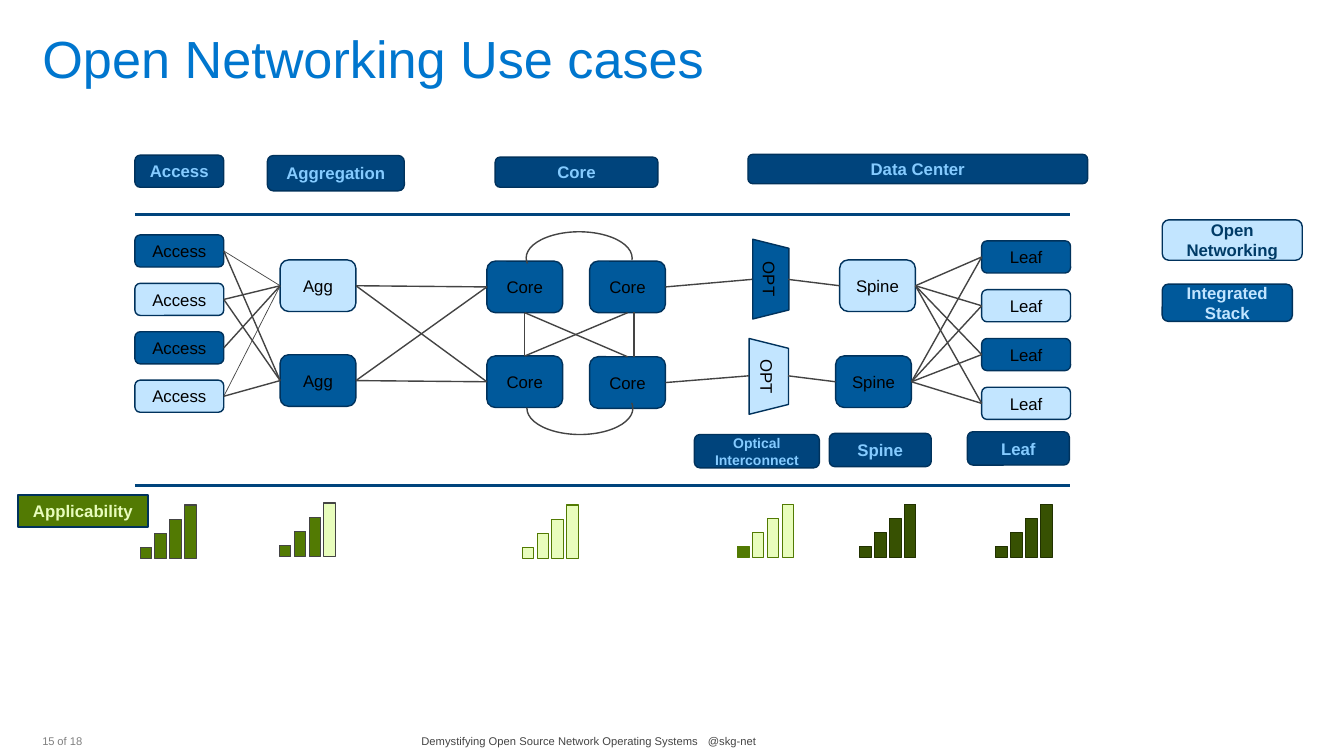
"""Builds the Open Networking use cases slide."""
from itertools import product

from lxml.etree import SubElement
from pptx import Presentation
from pptx.dml.color import RGBColor
from pptx.enum.shapes import MSO_CONNECTOR as Connector, MSO_SHAPE as Shape
from pptx.enum.text import MSO_ANCHOR as Anchor, PP_ALIGN as Align
from pptx.oxml.ns import qn
from pptx.util import Cm, Pt

BLACK = RGBColor(0x00, 0x00, 0x00)
GRAY = RGBColor(0x80, 0x80, 0x80)
CHARCOAL = RGBColor(0x44, 0x44, 0x44)
TITLE_BLUE = RGBColor(0x00, 0x76, 0xCE)
HEADER_BLUE = RGBColor(0x00, 0x44, 0x7C)
OUTLINE_BLUE = RGBColor(0x00, 0x32, 0x5C)
INK_BLUE = RGBColor(0x00, 0x3B, 0x67)
SKY = RGBColor(0x85, 0xCB, 0xFF)
STACK_BLUE = RGBColor(0x00, 0x59, 0x9B)
OPEN_BLUE = RGBColor(0xC2, 0xE5, 0xFF)
GREEN = RGBColor(0x52, 0x7A, 0x03)
LIME = RGBColor(0xE8, 0xFD, 0xBC)
FOREST = RGBColor(0x37, 0x51, 0x02)
DARK_FOREST = RGBColor(0x21, 0x31, 0x01)

TOP, LEFT, BOTTOM, RIGHT = range(4)


class Painter:
    """Holds the style and the current slide."""

    font_name = "Arial"

    def __init__(self, page):
        self.page = page

    def label(self, frame, text, size, color, bold=False, align=Align.LEFT, tab=None):
        """Fill a text frame with one paragraph."""
        frame.word_wrap = True
        para = frame.paragraphs[0]
        para.text = text
        para.alignment = align
        if tab:
            stops = SubElement(para._p.get_or_add_pPr(), qn("a:tabLst"))
            SubElement(stops, qn("a:tab"), pos=str(Cm(tab)), algn="l")
        para.font.name = self.font_name
        para.font.size = Pt(size)
        para.font.bold = bold
        para.font.color.rgb = color
        return para

    def text(self, place, text, size, color, anchor=Anchor.MIDDLE, align=Align.LEFT, tab=None):
        """Add a text box without margins."""
        frame = self.page.shapes.add_textbox(*map(Cm, place)).text_frame
        frame.margin_left = frame.margin_right = frame.margin_top = frame.margin_bottom = 0
        frame.vertical_anchor = anchor
        self.label(frame, text, size, color, align=align, tab=tab).line_spacing = 0.9

    def shape(self, kind, place, fill=None, line=OUTLINE_BLUE, width=1):
        """Add a preset shape, unfilled when no fill is given."""
        shape = self.page.shapes.add_shape(kind, *map(Cm, place))
        shape.shadow.inherit = False
        if fill is None:
            shape.fill.background()
        else:
            shape.fill.solid()
            shape.fill.fore_color.rgb = fill
        shape.line.color.rgb = line
        shape.line.width = Pt(width)
        return shape

    def box(self, text, place, fill, color=BLACK, bold=False, size=12,
            kind=Shape.ROUNDED_RECTANGLE):
        """Add a shape with a centred label."""
        box = self.shape(kind, place, fill)
        box.text_frame.vertical_anchor = Anchor.MIDDLE
        self.label(box.text_frame, text, size, color, bold, Align.CENTER)
        return box

    def header(self, text, place, size=12):
        """Add a dark section label."""
        self.box(text, place, HEADER_BLUE, SKY, True, size)

    def line(self, start=(0, 0), stop=(0, 0), begin=None, end=None, color=CHARCOAL, width=1):
        """Draw a line between points, or joined to (shape, side) pairs."""
        line = self.page.shapes.add_connector(Connector.STRAIGHT, *map(Cm, (*start, *stop)))
        SubElement(line._element.spPr, qn("a:effectLst"))
        line.line.color.rgb = color
        line.line.width = Pt(width)
        if begin:
            line.begin_connect(*begin)
        if end:
            line.end_connect(*end)

    def arc(self, place, angles, rotation=0):
        """Draw an open arc."""
        arc = self.shape(Shape.ARC, place, line=CHARCOAL)
        arc.adjustments[0], arc.adjustments[1] = angles
        arc.rotation = rotation

    def bars(self, left, bottom, filled, strong, line):
        """Draw four rising bars, the first ones in the strong colour."""
        for step in range(4):
            height = 0.28 + 0.355 * step
            place = (left + 0.375 * step, bottom - height, 0.29, height)
            self.shape(Shape.RECTANGLE, place, strong if step < filled else LIME, line, 0.75)


def draw_network(painter):
    """Draw the devices and the links between them."""
    fills = (STACK_BLUE, OPEN_BLUE, STACK_BLUE, OPEN_BLUE)
    access = [painter.box("Access", (3.4, 5.92 + 1.22 * row, 2.24, 0.81), fill)
              for row, fill in enumerate(fills)]
    leaves = [painter.box("Leaf", (24.74, 6.07 + 1.23 * row, 2.24, 0.81), fill)
              for row, fill in enumerate(fills)]

    nodes = [painter.box(text, (left, top, 1.91, 1.3), fill) for text, left, top, fill in (
        ("Agg", 7.06, 6.55, OPEN_BLUE), ("Agg", 7.06, 8.94, STACK_BLUE),
        ("Core", 12.27, 6.58, STACK_BLUE), ("Core", 12.27, 8.97, STACK_BLUE),
        ("Core", 14.86, 6.58, STACK_BLUE), ("Core", 14.86, 8.99, STACK_BLUE),
        ("Spine", 21.16, 6.55, OPEN_BLUE), ("Spine", 21.06, 8.97, STACK_BLUE))]
    aggs, cores, far_cores, spines = (nodes[i:i + 2] for i in range(0, 8, 2))

    for place, fill in (((18.42, 6.58, 2.01, 0.91), STACK_BLUE),
                        ((18.42, 8.99, 1.91, 0.99), OPEN_BLUE)):
        painter.box("OPT", place, fill, kind=Shape.TRAPEZOID).rotation = 90

    thin = ((access[0], aggs[0]), (access[3], aggs[0]))
    for near, far in ((access, aggs), (aggs, cores), (spines, leaves)):
        for source, target in product(near, far):
            if (source, target) != (access[2], aggs[1]):
                painter.line(begin=(source, RIGHT), end=(target, LEFT),
                             width=0.5 if (source, target) in thin else 1)

    for upper, lower in ((cores[0], cores[1]), (cores[0], far_cores[1]),
                         (far_cores[0], cores[1])):
        painter.line(begin=(upper, BOTTOM), end=(lower, TOP))
    painter.line((15.98, 7.87), (15.98, 8.99))

    for core, spine, left, middle in zip(far_cores, spines, (18.95, 18.87), (7.04, 9.47)):
        painter.line(stop=(left, middle), begin=(core, RIGHT))
        painter.line((19.86, middle), end=(spine, LEFT))

    painter.arc((13.28, 9.63, 2.67, 1.32), (212.36, 108.47))
    painter.arc((13.26, 5.84, 2.67, 1.32), (212.36, 109.36), 180)


def main():
    """Build and save the deck."""
    deck = Presentation()
    deck.slide_width, deck.slide_height = Cm(33.87), Cm(19.05)
    painter = Painter(deck.slides.add_slide(deck.slide_layouts[6]))

    painter.text((1.07, 0.84, 31.75, 1.45), "Open Networking Use cases", 37.3, TITLE_BLUE,
                 Anchor.TOP)
    painter.text((1.02, 18.54, 0.36, 0.3), "15", 8, GRAY, align=Align.RIGHT)
    painter.text((1.45, 18.54, 0.9, 0.3), "of 18", 8, GRAY)
    painter.text((10.62, 18.54, 12.07, 0.3),
                 "Demystifying Open Source Network Operating Systems\t@skg-net", 8, CHARCOAL,
                 tab=7.22)

    draw_network(painter)

    painter.header("Access", (3.4, 3.91, 2.24, 0.81))
    painter.header("Aggregation", (6.74, 3.92, 3.45, 0.89))
    painter.header("Core", (12.48, 3.96, 4.1, 0.76))
    painter.header("Data Center", (18.85, 3.89, 8.56, 0.74))
    painter.header("Optical Interconnect", (17.5, 10.95, 3.15, 0.84), 10)
    painter.header("Spine", (20.9, 10.92, 2.57, 0.84))
    painter.header("Leaf", (24.38, 10.88, 2.57, 0.84))

    for height in (5.41, 12.24):
        painter.line((3.4, height), (26.97, height), color=HEADER_BLUE, width=2.5)

    for left, bottom, filled, strong, line in (
            (3.53, 14.07, 4, GREEN, CHARCOAL), (7.04, 14.02, 3, GREEN, CHARCOAL),
            (13.16, 14.07, 0, GREEN, GREEN), (18.59, 14.05, 1, GREEN, GREEN),
            (21.67, 14.05, 4, FOREST, DARK_FOREST), (25.1, 14.05, 4, FOREST, DARK_FOREST)):
        painter.bars(left, bottom, filled, strong, line)

    painter.box("Applicability", (0.45, 12.47, 3.28, 0.81), GREEN, LIME, True,
                kind=Shape.RECTANGLE)
    painter.box("Open Networking", (29.29, 5.54, 3.53, 1.02), OPEN_BLUE, INK_BLUE, True)
    painter.box("Integrated Stack", (29.29, 7.16, 3.28, 0.94), STACK_BLUE, OPEN_BLUE, True)

    deck.save("out.pptx")


if __name__ == "__main__":
    main()
